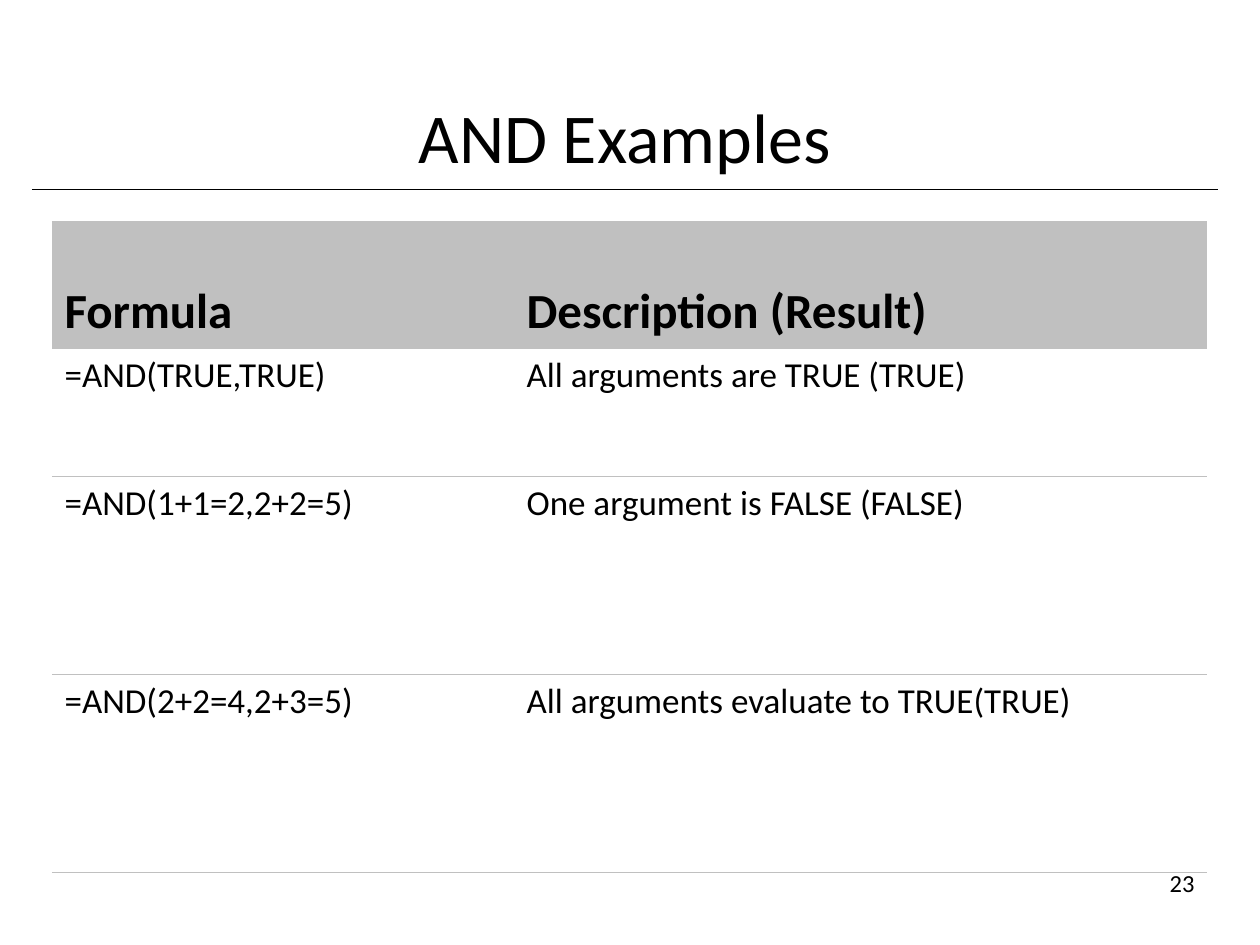
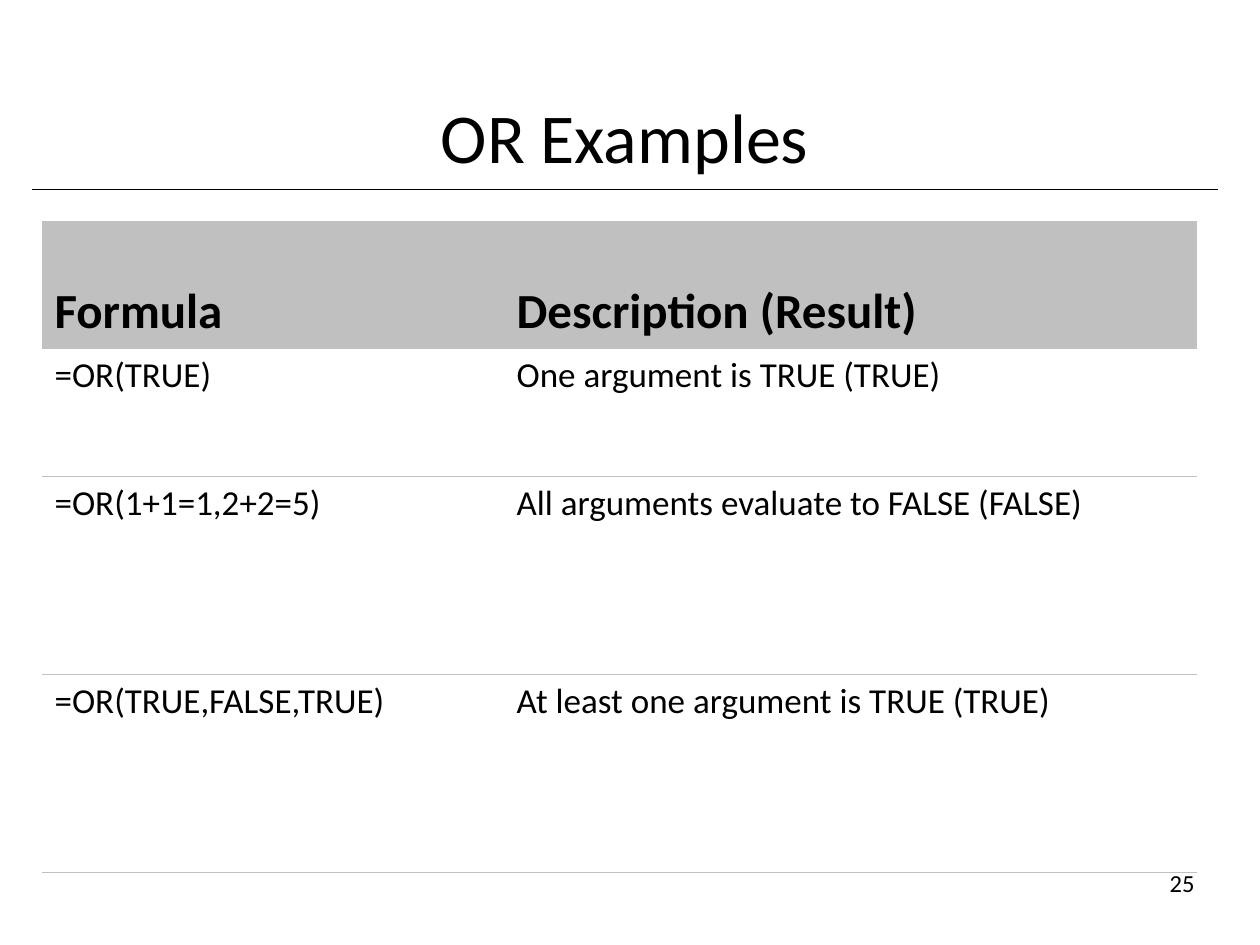
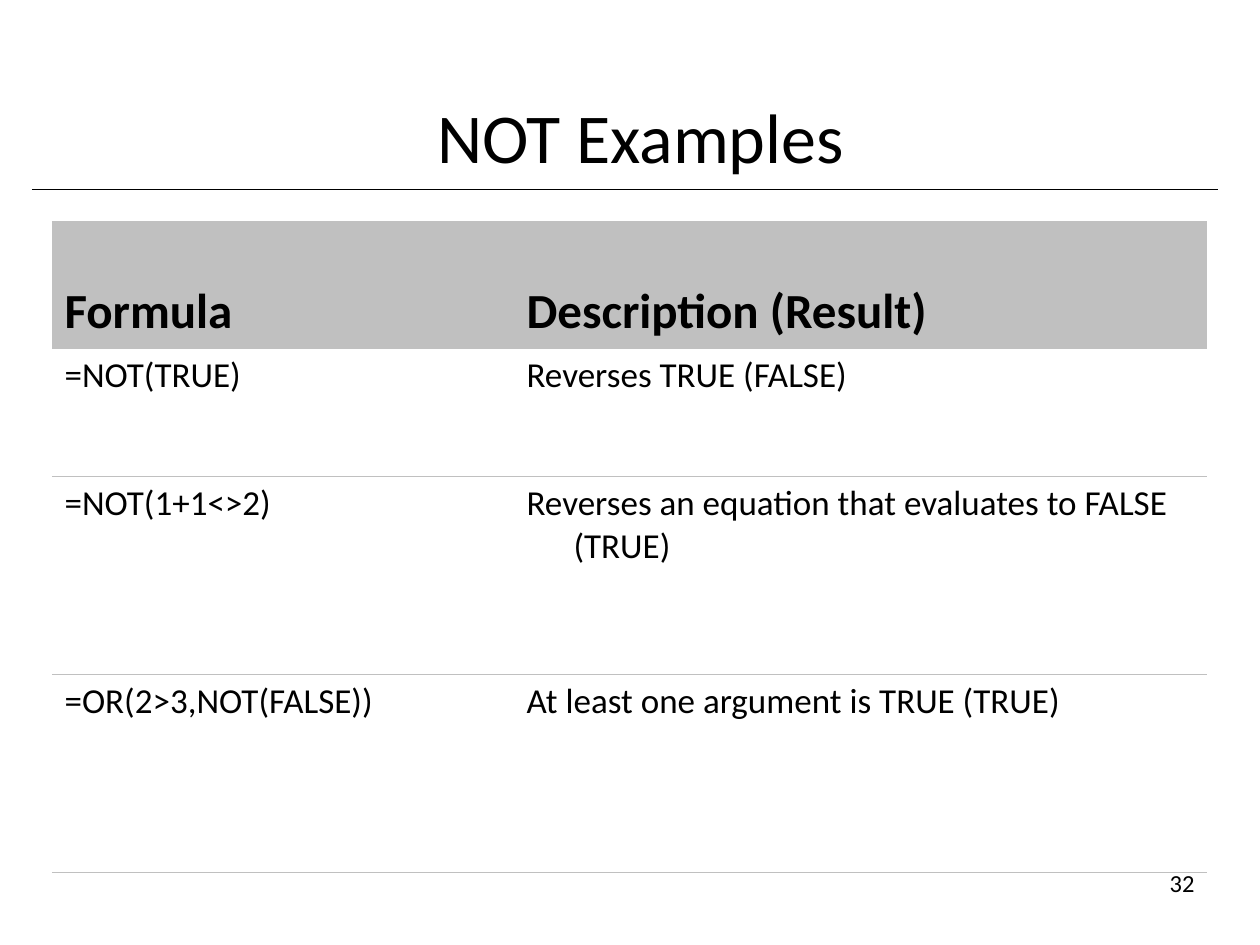
from lxml import etree
from pptx import Presentation
from pptx.dml.color import RGBColor
from pptx.enum.shapes import MSO_CONNECTOR
from pptx.enum.text import MSO_ANCHOR, PP_ALIGN
from pptx.oxml.ns import qn
from pptx.util import Emu, Pt

STRAIGHT = MSO_CONNECTOR.STRAIGHT
TOP, MIDDLE, BOTTOM = MSO_ANCHOR.TOP, MSO_ANCHOR.MIDDLE, MSO_ANCHOR.BOTTOM
LEFT, CENTER, RIGHT = PP_ALIGN.LEFT, PP_ALIGN.CENTER, PP_ALIGN.RIGHT

# Content
HEADER = ("Formula", "Description (Result)")
SLIDES = [
    {
        "title": "AND Examples", "title_left": 42, "title_width": 1165,
        "table_left": 52, "number": "23",
        "examples": [
            ("=AND(TRUE,TRUE)", "All arguments are TRUE (TRUE)"),
            ("=AND(1+1=2,2+2=5)", "One argument is FALSE (FALSE)"),
            ("=AND(2+2=4,2+3=5)", "All arguments evaluate to TRUE(TRUE)"),
        ],
    },
    {
        "title": "OR Examples", "title_left": 42, "title_width": 1165,
        "table_left": 42, "number": "25",
        "examples": [
            ("=OR(TRUE)", "One argument is TRUE (TRUE)"),
            ("=OR(1+1=1,2+2=5)", "All arguments evaluate to FALSE (FALSE)"),
            ("=OR(TRUE,FALSE,TRUE)", "At least one argument is TRUE (TRUE)"),
        ],
    },
    {
        "title": "NOT Examples", "title_left": 84, "title_width": 1113,
        "table_left": 52, "number": "32",
        "examples": [
            ("=NOT(TRUE)", "Reverses TRUE (FALSE)"),
            ("=NOT(1+1<>2)", "Reverses an equation that evaluates to FALSE (TRUE)"),
            ("=OR(2>3,NOT(FALSE))", "At least one argument is TRUE (TRUE)"),
        ],
    },
]

# Shared style, lengths in px
FONT = "Calibri"
BLACK, WHITE, GRAY = "000000", "FFFFFF", "C0C0C0"
SLIDE_WIDTH, SLIDE_HEIGHT = 1260, 945
TITLE_TOP, TITLE_HEIGHT = 32, 152
RULE_LEFT, RULE_RIGHT, RULE_TOP = 32, 1218, 189
TABLE_TOP = 221
COLUMN_WIDTHS = (462, 693)
ROW_HEIGHTS = (127, 128, 198, 198)
HANGING_INDENT = 47
NUMBER_BOX = (945, 851, 262, 63)


def px(length):
    return Emu(round(length * 914400 / 126))


def color(hex_string):
    return RGBColor.from_string(hex_string)


def write(text_frame, text, size, alignment, bold=False):
    text_frame.text = text
    paragraph = text_frame.paragraphs[0]
    paragraph.alignment = alignment
    font = paragraph.runs[0].font
    font.name, font.size, font.bold = FONT, Pt(size), bold
    font.color.rgb = color(BLACK)
    return paragraph


def add_text(slide, box, text, size, alignment, anchor):
    text_frame = slide.shapes.add_textbox(*map(px, box)).text_frame
    text_frame.word_wrap = True
    text_frame.vertical_anchor = anchor
    write(text_frame, text, size, alignment)


def add_rule(slide):
    rule = slide.shapes.add_connector(
        STRAIGHT, px(RULE_LEFT), px(RULE_TOP), px(RULE_RIGHT), px(RULE_TOP))
    rule.line.color.rgb = color(BLACK)
    rule.line.width = Pt(0.5)
    etree.SubElement(rule._element.spPr, qn("a:effectLst"))


def set_borders(cell):
    """Draw gray lines above and below the cell and none at its sides."""
    properties = cell._tc.get_or_add_tcPr()
    for position, side in enumerate(("lnL", "lnR", "lnT", "lnB")):
        line = etree.Element(qn(f"a:{side}"), w=str(Pt(0.45)))
        if side in ("lnT", "lnB"):
            fill = etree.SubElement(line, qn("a:solidFill"))
            etree.SubElement(fill, qn("a:srgbClr"), val=GRAY)
        else:
            etree.SubElement(line, qn("a:noFill"))
        properties.insert(position, line)


def set_cell(cell, text, is_header):
    paragraph = write(cell.text_frame, text, 28 if is_header else 20, LEFT, is_header)
    indent = px(HANGING_INDENT)
    paragraph_properties = paragraph._p.get_or_add_pPr()
    paragraph_properties.set("marL", str(indent))
    paragraph_properties.set("indent", str(-indent))
    cell.vertical_anchor = BOTTOM if is_header else TOP
    cell.fill.solid()
    cell.fill.fore_color.rgb = color(GRAY if is_header else WHITE)
    set_borders(cell)


def add_examples(slide, left, examples):
    rows = [HEADER, *examples]
    table = slide.shapes.add_table(
        len(rows), len(HEADER), px(left), px(TABLE_TOP),
        px(sum(COLUMN_WIDTHS)), px(sum(ROW_HEIGHTS))).table
    table.first_row = table.horz_banding = False
    for column, width in zip(table.columns, COLUMN_WIDTHS):
        column.width = px(width)
    for row, height in zip(table.rows, ROW_HEIGHTS):
        row.height = px(height)
    for row_index, texts in enumerate(rows):
        for column_index, text in enumerate(texts):
            set_cell(table.cell(row_index, column_index), text, row_index == 0)


def main():
    presentation = Presentation()
    presentation.slide_width = px(SLIDE_WIDTH)
    presentation.slide_height = px(SLIDE_HEIGHT)
    blank_layout = presentation.slide_layouts[6]
    for content in SLIDES:
        slide = presentation.slides.add_slide(blank_layout)
        add_rule(slide)
        title_box = (content["title_left"], TITLE_TOP, content["title_width"], TITLE_HEIGHT)
        add_text(slide, title_box, content["title"], 40, CENTER, BOTTOM)
        add_examples(slide, content["table_left"], content["examples"])
        add_text(slide, NUMBER_BOX, content["number"], 14, RIGHT, MIDDLE)
    presentation.save("out.pptx")


if __name__ == "__main__":
    main()
